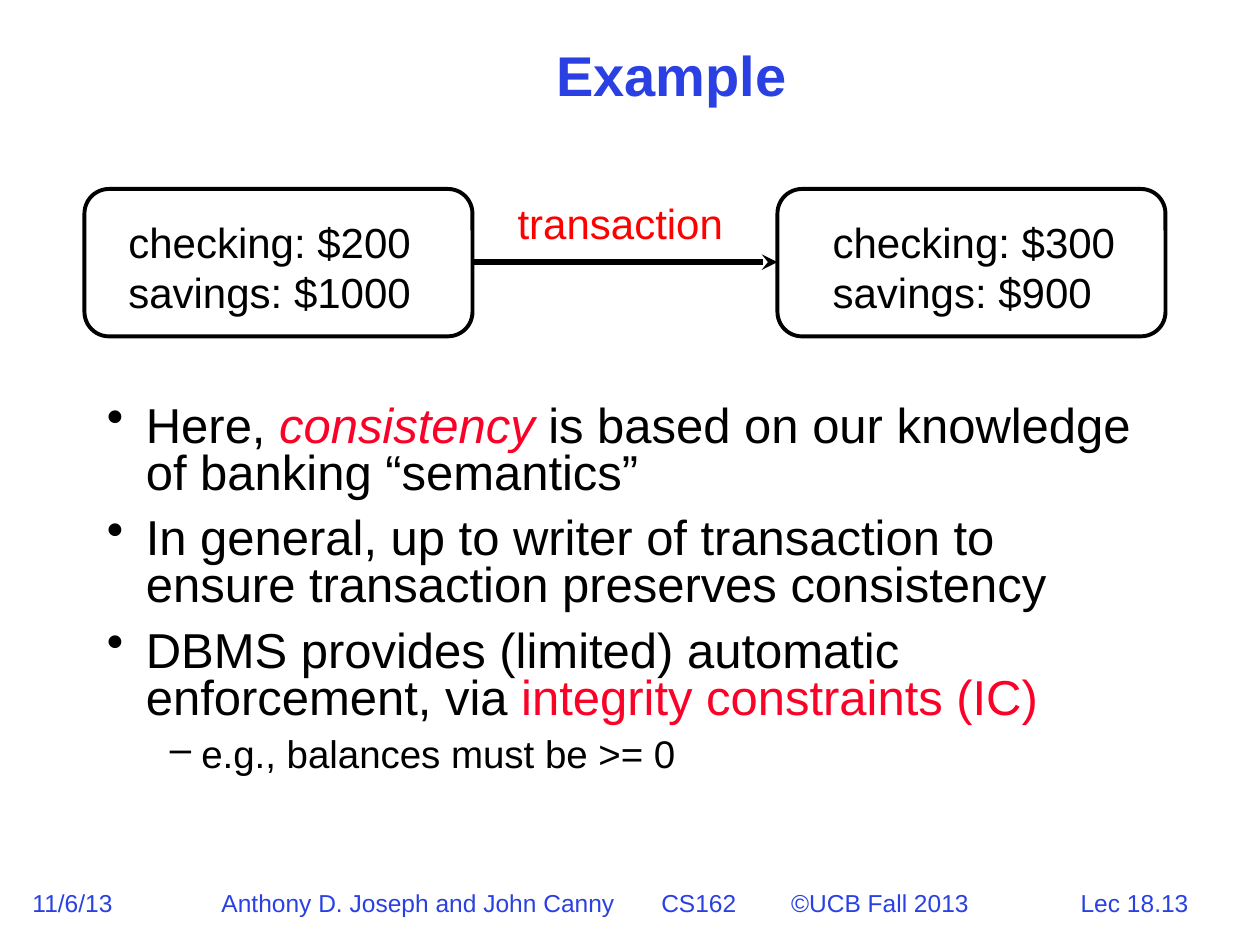
from lxml.etree import SubElement
from pptx import Presentation
from pptx.dml.color import RGBColor
from pptx.enum.shapes import MSO_CONNECTOR as Connector, MSO_SHAPE as Shape
from pptx.enum.text import MSO_ANCHOR as Anchor, PP_ALIGN as Align
from pptx.oxml.ns import qn
from pptx.util import Inches, Pt

COLORS = {"blue": "2A40E2", "black": "000000", "red": "FF0000", "crimson": "FC0128"}


def color(name):
    return RGBColor.from_string(COLORS[name])


def add_text(page, place, lines, size, tone, align=Align.LEFT):
    box = page.shapes.add_textbox(*[Inches(length) for length in place])
    frame = box.text_frame
    frame.word_wrap = True
    for index, line in enumerate(lines):
        para = frame.paragraphs[0] if index == 0 else frame.add_paragraph()
        para.text = line
        para.alignment = align
        para.font.name = "Arial"
        para.font.size = Pt(size)
        para.font.color.rgb = color(tone)
    return frame


deck = Presentation()
deck.slide_width, deck.slide_height = Inches(10), Inches(7.5)
page = deck.slides.add_slide(deck.slide_layouts[6])

add_text(page, (8.14, 7, 1.73, 0.33), ["Lec 18.13"], 14, "blue", Align.CENTER)
add_text(page, (0.16, 7, 0.9, 0.33), ["11/6/13"], 14, "blue")
credit = "Anthony D. Joseph and John Canny\tCS162\t©UCB Fall 2013"
footer = add_text(page, (1.66, 7, 6.3, 0.33), [credit], 14, "blue")
tabs = SubElement(footer.paragraphs[0]._p.get_or_add_pPr(), qn("a:tabLst"))
for stop in (3.49, 4.52):
    SubElement(tabs, qn("a:tab"), pos=str(Inches(stop)), algn="l")

title = add_text(page, (1.08, 0, 8.5, 1.25), ["Example"], 32, "blue", Align.CENTER)
title.vertical_anchor = Anchor.MIDDLE
title.paragraphs[0].font.bold = True
title.paragraphs[0].line_spacing = 0.9

bullets = [
    (0, [("Here, ", "black", False), ("consistency", "crimson", True),
         (" is based on our knowledge of banking “semantics”", "black", False)]),
    (0, [("In general, up to writer of transaction to ensure transaction "
          "preserves consistency", "black", False)]),
    (0, [("DBMS provides (limited) automatic enforcement, via ", "black", False),
         ("integrity constraints (IC)", "crimson", False)]),
    (1, [("e.g., balances must be >= 0", "black", False)]),
]
levels = [(28, 10.5, 0.31, 0.31, "•"), (22, 8.2, 0.75, 0.25, "–")]
body = add_text(page, (0.75, 3.17, 8.5, 3.33), [""] * len(bullets), 28, "black")
for para, (level, spans) in zip(body.paragraphs, bullets):
    size, gap, margin, hang, mark = levels[level]
    para.level = level
    para.font.size = Pt(size)
    para.line_spacing = 0.8
    para.space_before = Pt(gap)
    for words, tone, italic in spans:
        span = para.add_run()
        span.text = words
        span.font.name = "Arial"
        span.font.size = Pt(size)
        span.font.italic = italic
        span.font.color.rgb = color(tone)
    props = para._p.get_or_add_pPr()
    props.set("marL", str(Inches(margin)))
    props.set("indent", str(-Inches(hang)))
    bullet_color = SubElement(props, qn("a:buClr"))
    SubElement(bullet_color, qn("a:srgbClr"), val=COLORS["black"])
    SubElement(props, qn("a:buChar"), char=mark)
    props.append(props.find(qn("a:defRPr")))

accounts = [
    (0.67, 0.92, ["checking: $200", "savings: $1000"]),
    (6.17, 6.51, ["checking: $300", "savings: $900"]),
]
for left, text_left, balances in accounts:
    state = page.shapes.add_shape(
        Shape.ROUNDED_RECTANGLE, Inches(left), Inches(1.5), Inches(3.08), Inches(1.17))
    state.shadow.inherit = False
    state.fill.background()
    state.line.color.rgb = color("black")
    state.line.width = Pt(2.25)
    add_text(page, (text_left, 1.67, 2.44, 0.9), balances, 24, "black")

arrow = page.shapes.add_connector(
    Connector.STRAIGHT, Inches(3.75), Inches(2.08), Inches(6.17), Inches(2.08))
arrow.line.color.rgb = color("black")
arrow.line.width = Pt(3)
SubElement(arrow.line._get_or_add_ln(), qn("a:tailEnd"), type="stealth")
SubElement(arrow._element.spPr, qn("a:effectLst"))
add_text(page, (4.01, 1.52, 1.9, 0.5), ["transaction"], 24, "red")

deck.save("out.pptx")
